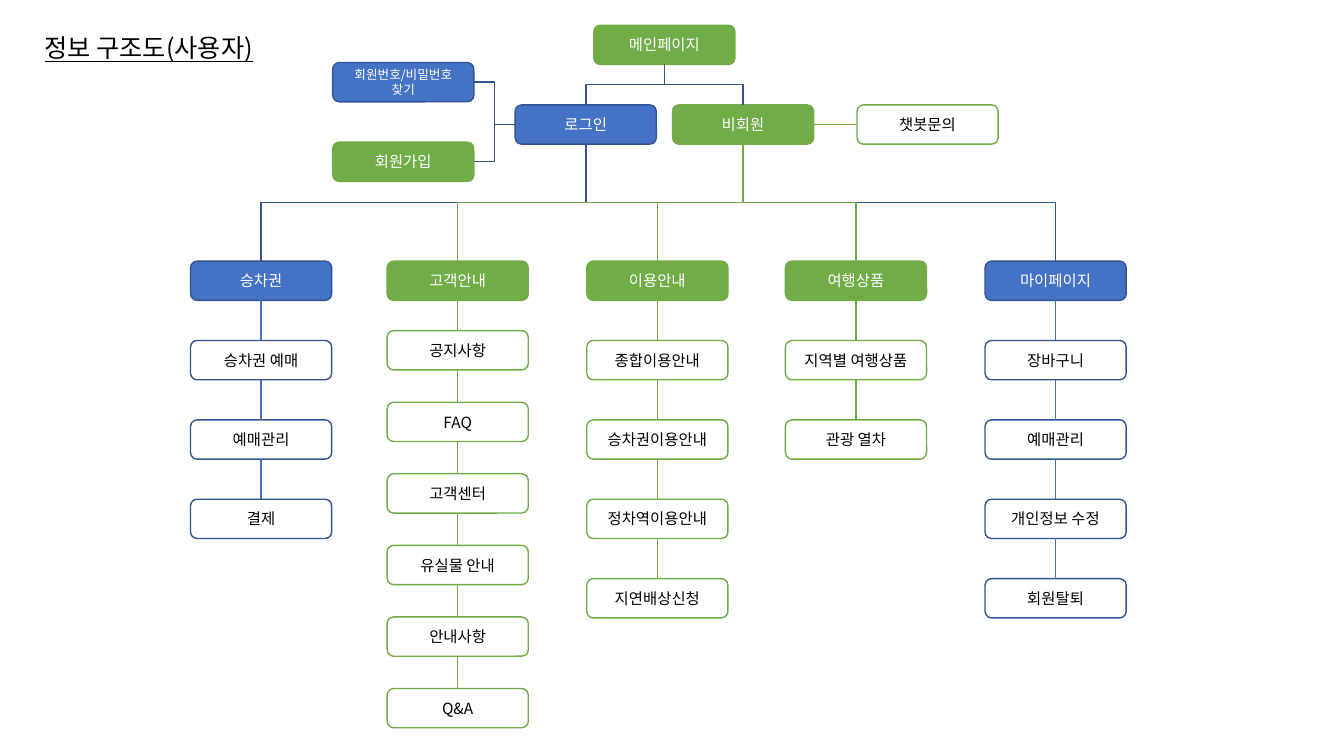
from dataclasses import dataclass

from lxml import etree
from pptx import Presentation
from pptx.dml.color import RGBColor
from pptx.enum.shapes import MSO_CONNECTOR, MSO_SHAPE
from pptx.enum.text import MSO_ANCHOR, MSO_AUTO_SIZE, PP_ALIGN
from pptx.oxml.ns import qn
from pptx.util import Inches, Pt

STRAIGHT, ELBOW = MSO_CONNECTOR.STRAIGHT, MSO_CONNECTOR.ELBOW
ROUNDED = MSO_SHAPE.ROUNDED_RECTANGLE
CENTER, MIDDLE = PP_ALIGN.CENTER, MSO_ANCHOR.MIDDLE
GROW = MSO_AUTO_SIZE.SHAPE_TO_FIT_TEXT
TOP, LEFT, BOTTOM, RIGHT = range(4)  # connection sites of a box


@dataclass(frozen=True)
class Theme:
    font: str = "Noto Sans CJK KR"
    blue: RGBColor = RGBColor(0x44, 0x72, 0xC4)
    navy: RGBColor = RGBColor(0x32, 0x54, 0x91)
    green: RGBColor = RGBColor(0x70, 0xAD, 0x47)
    white: RGBColor = RGBColor(0xFF, 0xFF, 0xFF)
    black: RGBColor = RGBColor(0, 0, 0)
    title_size: Pt = Pt(18)
    box_size: Pt = Pt(11)
    small_size: Pt = Pt(9)
    line_width: Pt = Pt(1)


theme = Theme()
BOX_W, BOX_H = 1.4, 0.39
HEAD_TOP, LAST_TOP = 2.59, 5.74
ROW_STEP = (LAST_TOP - HEAD_TOP) / 4

presentation = Presentation()
presentation.slide_width, presentation.slide_height = Inches(13.33), Inches(7.5)
slide = presentation.slides.add_slide(presentation.slide_layouts[5])


def write(shape, text, size, color, underline=None):
    frame = shape.text_frame
    frame.text = text
    frame.word_wrap = True
    frame.vertical_anchor = MIDDLE
    font_format = {"name": theme.font, "size": size, "underline": underline}
    for paragraph in frame.paragraphs:
        paragraph.alignment = CENTER
        for run in paragraph.runs:
            for attribute, value in font_format.items():
                setattr(run.font, attribute, value)
            run.font.color.rgb = color
            east_asian = etree.SubElement(run.font._element, qn("a:ea"))
            east_asian.set("typeface", theme.font)


def add_box(text, left, top, outline, fill=None, size=theme.box_size):
    """Add a rounded page box; without a fill it is hollow with black text."""
    box = slide.shapes.add_shape(
        ROUNDED, Inches(left), Inches(top), Inches(BOX_W), Inches(BOX_H))
    box.shadow.inherit = False
    box.line.color.rgb = outline
    box.line.width = theme.line_width
    if fill is None:
        box.fill.background()
    else:
        box.fill.solid()
        box.fill.fore_color.rgb = fill
    write(box, text, size, theme.black if fill is None else theme.white)
    return box


title = slide.shapes.title
title.left, title.top = Inches(0.25), Inches(0.27)
title.width, title.height = Inches(2.45), Inches(0.4)
write(title, "정보 구조도(사용자)", theme.title_size, theme.black, underline=True)
title.text_frame.auto_size = GROW

blue_box = {"outline": theme.navy, "fill": theme.blue}
green_box = {"outline": theme.green, "fill": theme.green}
main_page = add_box("메인페이지", 5.89, 0.25, **green_box)
login = add_box("로그인", 5.11, 1.04, **blue_box)
guest = add_box("비회원", 6.67, 1.04, **green_box)
find_account = add_box("회원번호/비밀번호\n찾기", 3.3, 0.62,
                       size=theme.small_size, **blue_box)
sign_up = add_box("회원가입", 3.3, 1.41, **green_box)
chatbot = add_box("챗봇문의", 8.5, 1.04, theme.green)

# heading, left, box format, top of first page, step between pages, pages
menus = [
    ("승차권", 1.89, blue_box, HEAD_TOP + ROW_STEP, ROW_STEP,
     ["승차권 예매", "예매관리", "결제"]),
    ("고객안내", 3.84, green_box, 3.28, 0.71,
     ["공지사항", "FAQ", "고객센터", "유실물 안내", "안내사항", "Q&A"]),
    ("이용안내", 5.82, green_box, HEAD_TOP + ROW_STEP, ROW_STEP,
     ["종합이용안내", "승차권이용안내", "정차역이용안내", "지연배상신청"]),
    ("여행상품", 7.79, green_box, HEAD_TOP + ROW_STEP, ROW_STEP,
     ["지역별 여행상품", "관광 열차"]),
    ("마이페이지", 9.77, blue_box, HEAD_TOP + ROW_STEP, ROW_STEP,
     ["장바구니", "예매관리", "개인정보 수정", "회원탈퇴"]),
]
headings, chain_links = [], []
for heading, left, box_format, first_top, step, pages in menus:
    previous = add_box(heading, left, HEAD_TOP, **box_format)
    headings.append(previous)
    for row, page in enumerate(pages):
        page_box = add_box(page, left, first_top + row * step, box_format["outline"])
        chain_links.append(
            (STRAIGHT, previous, BOTTOM, page_box, TOP, box_format["fill"]))
        previous = page_box

links = [(ELBOW, main_page, BOTTOM, entry, TOP, theme.navy) for entry in (login, guest)]
links += [(ELBOW, login, BOTTOM, heading, TOP, theme.navy) for heading in headings]
links += [(ELBOW, login, LEFT, page, RIGHT, theme.navy) for page in (find_account, sign_up)]
links += chain_links
links += [(ELBOW, guest, BOTTOM, heading, TOP, theme.green) for heading in headings[1:4]]
links.append((STRAIGHT, guest, RIGHT, chatbot, LEFT, theme.green))

for kind, source, source_site, target, target_site, color in links:
    link = slide.shapes.add_connector(kind, 0, 0, 0, 0)
    link.begin_connect(source, source_site)
    link.end_connect(target, target_site)
    link.line.color.rgb = color
    link.line.width = theme.line_width
    properties = link._element.spPr
    etree.SubElement(properties, qn("a:effectLst"))
    if kind == ELBOW and source_site == BOTTOM:
        # A downward elbow is a sideways one turned by a quarter.
        goes_right = link.end_x > link.begin_x
        center_x = (link.begin_x + link.end_x) // 2
        center_y = (link.begin_y + link.end_y) // 2
        link.width, link.height = link.height, link.width
        link.left = center_x - link.width // 2
        link.top = center_y - link.height // 2
        transform = properties.find(qn("a:xfrm"))
        transform.set("rot", str((270 if goes_right else 90) * 60000))
        transform.set("flipH", "1" if goes_right else "0")

presentation.save("out.pptx")
